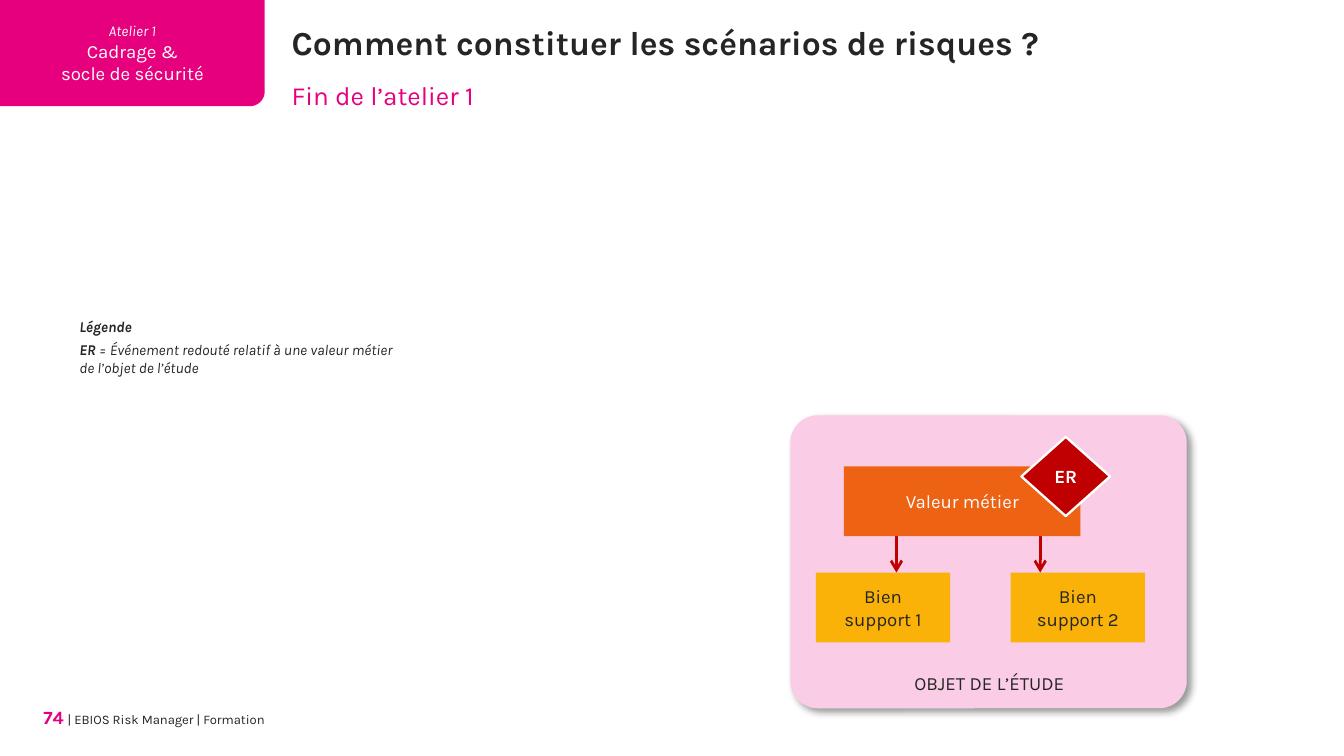
import math

import pptx
import pptx.dml.color
import pptx.enum.shapes
import pptx.enum.text
import pptx.oxml
import pptx.oxml.ns
import pptx.util

Inches = pptx.util.Inches
Pt = pptx.util.Pt
RGBColor = pptx.dml.color.RGBColor
SHAPE = pptx.enum.shapes.MSO_SHAPE
ALIGN = pptx.enum.text.PP_ALIGN
ANCHOR = pptx.enum.text.MSO_ANCHOR

FONT = "Karla"
PINK = RGBColor(0xE6, 0x00, 0x7E)
DARK = RGBColor(0x25, 0x25, 0x25)
GREY = RGBColor(0x32, 0x32, 0x32)
WHITE = RGBColor(0xFF, 0xFF, 0xFF)
YELLOW = RGBColor(0xFB, 0xB2, 0x08)
ORANGE = RGBColor(0xEE, 0x62, 0x13)
RED = RGBColor(0xC0, 0x00, 0x00)


def make_element(tag, attributes="", content=""):
    namespace = pptx.oxml.ns.nsdecls("a")
    return pptx.oxml.parse_xml(f"<a:{tag} {namespace} {attributes}>{content}</a:{tag}>")


def format_font(font, size, color, bold=False, italic=False):
    font.name = FONT
    font.size = Pt(size)
    font.color.rgb = color
    font.bold = bold
    font.italic = italic


def write_text(shape, text, size, color, bold=False, align=ALIGN.LEFT,
               anchor=ANCHOR.TOP, margin=0, wrap=True):
    frame = shape.text_frame
    frame.text = text
    frame.word_wrap = wrap
    frame.auto_size = pptx.enum.text.MSO_AUTO_SIZE.NONE
    frame.vertical_anchor = anchor
    frame.margin_left = frame.margin_right = Inches(margin)
    frame.margin_top = frame.margin_bottom = Inches(margin / 2)
    for paragraph in frame.paragraphs:
        paragraph.alignment = align
        for run in paragraph.runs:
            format_font(run.font, size, color, bold)


def add_run(paragraph, text, size, color, italic=False):
    run = paragraph.add_run()
    run.text = text
    format_font(run.font, size, color, italic=italic)


def place(shape, left, top, width, height):
    shape.left, shape.top = Inches(left), Inches(top)
    shape.width, shape.height = Inches(width), Inches(height)


def add_text_box(slide, left, top, width, height):
    return slide.shapes.add_textbox(Inches(left), Inches(top), Inches(width), Inches(height))


def add_block(slide, kind, left, top, width, height, fill):
    """Add a flat preset shape without outline."""
    shape = slide.shapes.add_shape(kind, Inches(left), Inches(top), Inches(width), Inches(height))
    shape.shadow.inherit = False
    shape.fill.solid()
    shape.fill.fore_color.rgb = fill
    shape.line.fill.background()
    return shape


def add_arrow(slide, x, top, bottom):
    arrow = slide.shapes.add_connector(pptx.enum.shapes.MSO_CONNECTOR.STRAIGHT,
                                       Inches(x), Inches(top), Inches(x), Inches(bottom))
    arrow.line.color.rgb = RED
    arrow.line.width = Pt(1.5)
    arrow.line._get_or_add_ln().append(make_element("tailEnd", 'type="arrow"'))
    arrow._element.spPr.append(make_element("effectLst"))


def add_workshop_tab(slide, left, top, width, height, radius=0.11):
    """Tab whose bottom right corner is rounded."""
    right, bottom = left + width, top + height
    angles = [math.radians(degrees) for degrees in range(0, 91, 6)]
    corner = [(right - radius + radius * math.cos(angle), bottom - radius + radius * math.sin(angle))
              for angle in angles]
    points = [(right, top), *corner, (left, bottom)]
    builder = slide.shapes.build_freeform(Inches(left), Inches(top))
    builder.add_line_segments([(Inches(x), Inches(y)) for x, y in points], close=True)
    tab = builder.convert_to_shape()
    tab.shadow.inherit = False
    tab.fill.solid()
    tab.fill.fore_color.rgb = PINK
    tab.line.fill.background()
    write_text(tab, "Atelier 1\nCadrage &\nsocle de sécurité", 10, WHITE,
               align=ALIGN.CENTER, anchor=ANCHOR.MIDDLE, margin=0.1)
    format_font(tab.text_frame.paragraphs[0].runs[0].font, 8, WHITE, italic=True)


def fill_headings(slide, left, top):
    title, subtitle = slide.shapes.title, slide.placeholders[1]
    place(title, left, top, 7.48, 0.3)
    write_text(title, "Comment constituer les scénarios de risques ?", 18, DARK, bold=True)
    place(subtitle, left, top + 0.43, 7.04, 0.24)
    write_text(subtitle, "Fin de l’atelier 1", 14, PINK)
    paragraph = subtitle.text_frame.paragraphs[0]
    paragraph.space_before = Pt(0)
    properties = paragraph._p.get_or_add_pPr()
    properties.set("marL", "0")
    properties.set("indent", "0")
    properties.append(make_element("buNone"))


def add_footer(slide, left, top, width, height):
    footer = add_text_box(slide, left, top, width, height)
    write_text(footer, "74", 10, PINK, bold=True, align=ALIGN.RIGHT)
    paragraph = footer.text_frame.paragraphs[0]
    add_run(paragraph, " ", 9, GREY)
    add_run(paragraph, "| EBIOS Risk Manager | Formation", 7, DARK)


def add_legend(slide, left, top, width, height):
    legend = add_text_box(slide, left, top, width, height)
    write_text(legend, "Légende\nER", 8, DARK, bold=True)
    for paragraph in legend.text_frame.paragraphs:
        paragraph.space_after = Pt(3)
        paragraph.runs[0].font.italic = True
    add_run(legend.text_frame.paragraphs[1],
            " = Événement redouté relatif à une valeur métier de l’objet de l’étude",
            8, DARK, italic=True)


def add_study_panel(slide, left, top, width, height):
    """Study object: a business value, its two supporting assets and its feared event."""
    base, tint = [add_block(slide, SHAPE.ROUNDED_RECTANGLE, left, top, width, height, fill)
                  for fill in (WHITE, PINK)]
    for panel in (base, tint):
        panel.adjustments[0] = 0.094
    effects = base._element.spPr.find(pptx.oxml.ns.qn("a:effectLst"))
    effects.append(make_element(
        "outerShdw",
        f'blurRad="{Pt(4)}" dist="{Pt(3)}" dir="2700000" algn="tl" rotWithShape="0"',
        '<a:srgbClr val="000000"><a:alpha val="40000"/></a:srgbClr>'))
    color = tint._element.spPr.find(".//" + pptx.oxml.ns.qn("a:srgbClr"))
    color.append(make_element("alpha", 'val="20000"'))

    centered = {"align": ALIGN.CENTER, "anchor": ANCHOR.MIDDLE}
    asset_top = top + 1.17
    for number, offset in enumerate((0.19, 1.64), start=1):
        asset = add_block(slide, SHAPE.RECTANGLE, left + offset, asset_top, 1, 0.52, YELLOW)
        write_text(asset, f"Bien\nsupport {number}", 10, DARK, margin=0.1, wrap=False, **centered)

    caption = add_text_box(slide, left + 0.79, top + 1.88, 1.38, 0.23)
    write_text(caption, "OBJET DE L’ÉTUDE", 10, DARK, **centered)

    for offset in (0.79, 1.86):
        add_arrow(slide, left + offset, top + 0.49, asset_top)

    value = add_block(slide, SHAPE.RECTANGLE, left + 0.4, top + 0.38, 1.76, 0.52, ORANGE)
    write_text(value, "Valeur métier", 10, WHITE, margin=0.1, **centered)

    event = add_block(slide, SHAPE.DIAMOND, left + 1.72, top + 0.16, 0.66, 0.59, RED)
    event.line.color.rgb = WHITE
    event.line.width = Pt(1.25)
    write_text(event, "ER", 10, WHITE, bold=True, **centered)


def main():
    presentation = pptx.Presentation()
    presentation.slide_width = Inches(10)
    presentation.slide_height = presentation.slide_width * 9 // 16
    slide = presentation.slides.add_slide(presentation.slide_layouts[1])
    add_workshop_tab(slide, 0, 0, 1.97, 0.79)
    add_footer(slide, 0.2, 5.25, 1.77, 0.2)
    fill_headings(slide, 2.17, 0.16)
    add_study_panel(slide, 5.88, 3.09, 2.95, 2.18)
    add_legend(slide, 0.59, 2.36, 2.38, 0.45)
    presentation.save("out.pptx")


if __name__ == "__main__":
    main()
